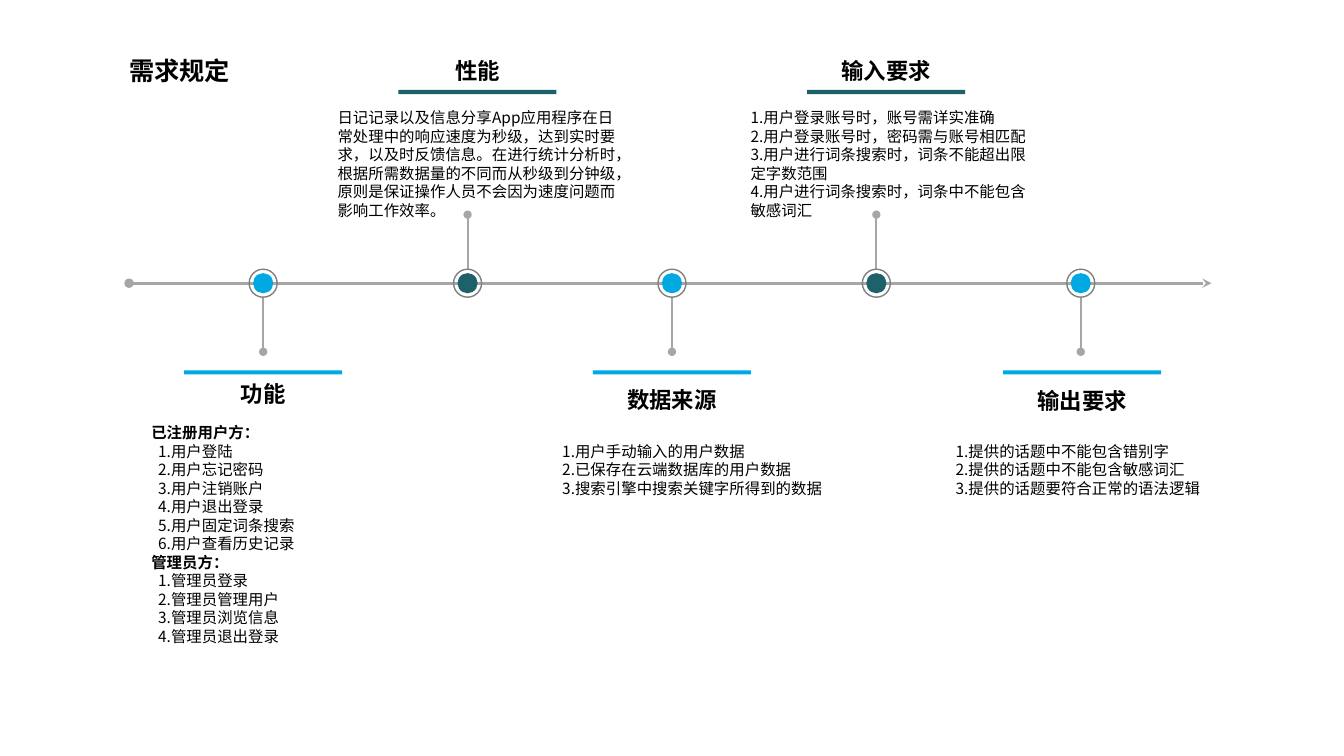
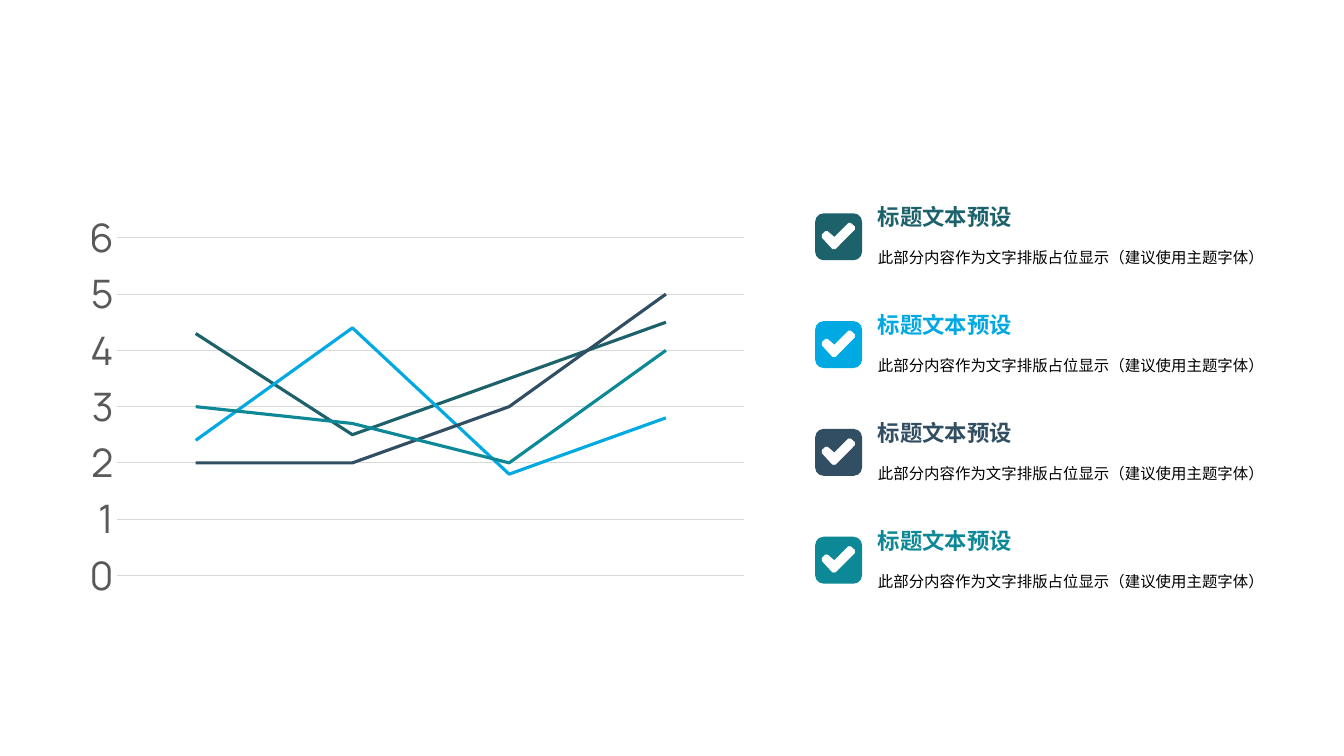
"""Build a requirements timeline slide and a line chart slide with a checklist."""
from lxml import etree
from pptx import Presentation
from pptx.chart import data
from pptx.dml.color import RGBColor
from pptx.enum import chart as ch, shapes, text
from pptx.oxml import ns
from pptx.util import Pt

DARK_TEAL = RGBColor(0x1D, 0x62, 0x6A)
SKY = RGBColor(0x00, 0xA9, 0xE2)
NAVY = RGBColor(0x32, 0x4E, 0x63)
TEAL = RGBColor(0x0C, 0x88, 0x96)
BLACK = RGBColor(0x00, 0x00, 0x00)
WHITE = RGBColor(0xFF, 0xFF, 0xFF)
LINE_GRAY = RGBColor(0xA6, 0xA6, 0xA6)
RING_GRAY = RGBColor(0x80, 0x80, 0x80)
GRID_GRAY = RGBColor(0xD9, 0xD9, 0xD9)
LABEL_GRAY = RGBColor(0x59, 0x59, 0x59)
TEXT_FONT = "Noto Sans CJK SC"
CHART_FONT = "Manrope"
TITLE_SIZE, HEADING_SIZE, BODY_SIZE = 18, 16, 11


def add_text(slide, box, lines, size, color=BLACK, bold=False, align=text.PP_ALIGN.LEFT):
    frame = slide.shapes.add_textbox(*map(Pt, box)).text_frame
    frame.word_wrap = True
    frame.text = "\n".join(lines)
    for paragraph in frame.paragraphs:
        paragraph.alignment = align
        for run in paragraph.runs:
            run.font.size = Pt(size)
            run.font.bold = bold
            run.font.color.rgb = color
            run.font.name = TEXT_FONT
            etree.SubElement(run.font._element, ns.qn("a:ea"), typeface=TEXT_FONT)
    return frame


def add_block(slide, kind, box, fill=None, outline=None):
    block = slide.shapes.add_shape(kind, *map(Pt, box))
    block.shadow.inherit = False
    if fill is None:
        block.fill.background()
    else:
        block.fill.solid()
        block.fill.fore_color.rgb = fill
    if outline is None:
        block.line.fill.background()
    else:
        block.line.color.rgb = outline
        block.line.width = Pt(1)
    return block


prs = Presentation()
prs.slide_width, prs.slide_height = Pt(960), Pt(540)
blank = prs.slide_layouts[6]

timeline = prs.slides.add_slide(blank)
AXIS_Y, FIRST_X, STEP_X = 202.3, 188, 146
DOT, RING, STEM = 14.4, 20, 39
BAR_W, HEADING_W, BODY_W = 113, 201, 214

topics = [
    ("功能", False, 0, 268, (101, 299), [
        "已注册用户方：", "1.用户登陆", "2.用户忘记密码", "3.用户注销账户",
        "4.用户退出登录", "5.用户固定词条搜索", "6.用户查看历史记录",
        "管理员方：", "1.管理员登录", "2.管理员管理用户",
        "3.管理员浏览信息", "4.管理员退出登录"]),
    ("性能", True, 7, 37.4, (234, 74), [
        "日记记录以及信息分享App应用程序在日常处理中的响应速度为秒级，达到实时要求，"
        "以及时反馈信息。在进行统计分析时，根据所需数据量的不同而从秒级到分钟级，"
        "原则是保证操作人员不会因为速度问题而影响工作效率。"]),
    ("数据来源", False, 0, 272, (394.5, 312), [
        "1.用户手动输入的用户数据", "2.已保存在云端数据库的用户数据",
        "3.搜索引擎中搜索关键字所得到的数据"]),
    ("输入要求", True, 7, 37.4, (529, 74), [
        "1.用户登录账号时，账号需详实准确", "2.用户登录账号时，密码需与账号相匹配",
        "3.用户进行词条搜索时，词条不能超出限定字数范围",
        "4.用户进行词条搜索时，词条中不能包含敏感词汇"]),
    ("输出要求", False, 1, 273, (675.5, 312), [
        "1.提供的话题中不能包含错别字", "2.提供的话题中不能包含敏感词汇",
        "3.提供的话题要符合正常的语法逻辑"]),
]

lines = [((92.2, AXIS_Y), (865.4, AXIS_Y), 2.25, {"headEnd": "oval", "tailEnd": "stealth"})]
for i, topic in enumerate(topics):
    x, direction = FIRST_X + i * STEP_X, -1 if topic[1] else 1
    start_y = AXIS_Y + direction * RING / 2
    lines.append(((x, start_y), (x, start_y + direction * STEM), 1.5, {"tailEnd": "oval"}))

for start, end, width, ends in lines:
    connector = timeline.shapes.add_connector(
        shapes.MSO_CONNECTOR.STRAIGHT, *map(Pt, start + end))
    connector.line.color.rgb = LINE_GRAY
    connector.line.width = Pt(width)
    properties = connector._element.spPr
    for tag, style in ends.items():
        etree.SubElement(properties.find(ns.qn("a:ln")), ns.qn("a:" + tag), type=style)
    etree.SubElement(properties, ns.qn("a:effectLst"))

for i, (heading, above, shift, heading_y, body_at, body) in enumerate(topics):
    x = FIRST_X + i * STEP_X
    accent = DARK_TEAL if above else SKY
    for size, fill, outline in ((DOT, accent, None), (RING, None, RING_GRAY)):
        add_block(timeline, shapes.MSO_SHAPE.OVAL,
                  (x - size / 2, AXIS_Y - size / 2, size, size), fill, outline)
    center = x + shift
    add_block(timeline, shapes.MSO_SHAPE.RECTANGLE,
              (center - BAR_W / 2, 64.2 if above else 264.5, BAR_W, 3), accent)
    add_text(timeline, (center - HEADING_W / 2, heading_y, HEADING_W, 26.6), [heading],
             HEADING_SIZE, bold=True, align=text.PP_ALIGN.CENTER)
    frame = add_text(timeline, (*body_at, BODY_W, 16 + 13 * len(body)), body, BODY_SIZE)
    if body[0].endswith("："):
        for paragraph in frame.paragraphs:
            if paragraph.text.endswith("："):
                paragraph.runs[0].font.bold = True
            else:
                paragraph._p.get_or_add_pPr().set("marL", str(Pt(4.9)))

title = add_text(timeline, (38.9, 31, 178.6, 38.9), ["需求规定"], TITLE_SIZE,
                 bold=True, align=text.PP_ALIGN.CENTER)
title.vertical_anchor = text.MSO_ANCHOR.MIDDLE

trends = prs.slides.add_slide(blank)
series_colors = [DARK_TEAL, SKY, NAVY, TEAL]
CHECK = [(28, 11.5), (28, 9.5), (25.3, 7.1), (23.8, 7.1), (13.7, 17.2), (8.8, 13),
         (7.3, 13), (5, 15.2), (5, 17.2), (12.4, 25.2), (14.4, 25.2)]
BOX_X, BOX_Y, BOX, STEP_Y = 582.3, 152.4, 33.5, 77

for i, color in enumerate(series_colors):
    top = BOX_Y + i * STEP_Y
    box = add_block(trends, shapes.MSO_SHAPE.ROUNDED_RECTANGLE, (BOX_X, top, BOX, BOX), color)
    box.adjustments[0] = 0.18
    corners = [(Pt(BOX_X + x), Pt(top + y)) for x, y in CHECK]
    outline = trends.shapes.build_freeform(*corners[0])
    outline.add_line_segments(corners[1:], close=True)
    check = outline.convert_to_shape()
    check.shadow.inherit = False
    check.fill.solid()
    check.fill.fore_color.rgb = WHITE
    check.line.color.rgb = WHITE
    check.line.width = Pt(0.5)
    heading = add_text(trends, (615.6, top - 7, 350, 28.8), ["标题文本预设"],
                       HEADING_SIZE, color, bold=True)
    detail = add_text(trends, (615.6, top + 22.5, 350, 17.3),
                      ["此部分内容作为文字排版占位显示（建议使用主题字体）"], BODY_SIZE)
    detail.paragraphs[0].line_spacing = 1.2
    for frame in (heading, detail):
        frame.margin_left = Pt(11.5)
        frame.margin_top = frame.margin_right = frame.margin_bottom = 0

figures = data.CategoryChartData()
figures.categories = ["1", "2", "3", "4"]
for i, values in enumerate([(4.3, 2.5, 3.5, 4.5), (2.4, 4.4, 1.8, 2.8),
                            (2, 2, 3, 5), (3, 2.7, 2, 4)], 1):
    figures.add_series(f"Series {i}", values)
chart = trends.shapes.add_chart(
    ch.XL_CHART_TYPE.LINE, Pt(54), Pt(145.4), Pt(487.4), Pt(290.2), figures).chart
chart.has_legend = chart.has_title = False
chart.font.size = Pt(28)
chart.font.name = CHART_FONT
chart.font.color.rgb = BLACK
chart.category_axis.visible = False
scale = chart.value_axis
scale.minimum_scale, scale.maximum_scale, scale.major_unit = 0, 6, 1
scale.major_tick_mark = scale.minor_tick_mark = ch.XL_TICK_MARK.NONE
scale.format.line.fill.background()
scale.major_gridlines.format.line.color.rgb = GRID_GRAY
scale.major_gridlines.format.line.width = Pt(0.75)
scale.tick_labels.font.size = Pt(28)
scale.tick_labels.font.name = CHART_FONT
scale.tick_labels.font.color.rgb = LABEL_GRAY
chart.plots[0].vary_by_categories = False
for series, color in zip(chart.plots[0].series, series_colors):
    series.smooth = False
    series.marker.style = ch.XL_MARKER_STYLE.NONE
    series.format.line.color.rgb = color
    series.format.line.width = Pt(2.25)

prs.save("out.pptx")
